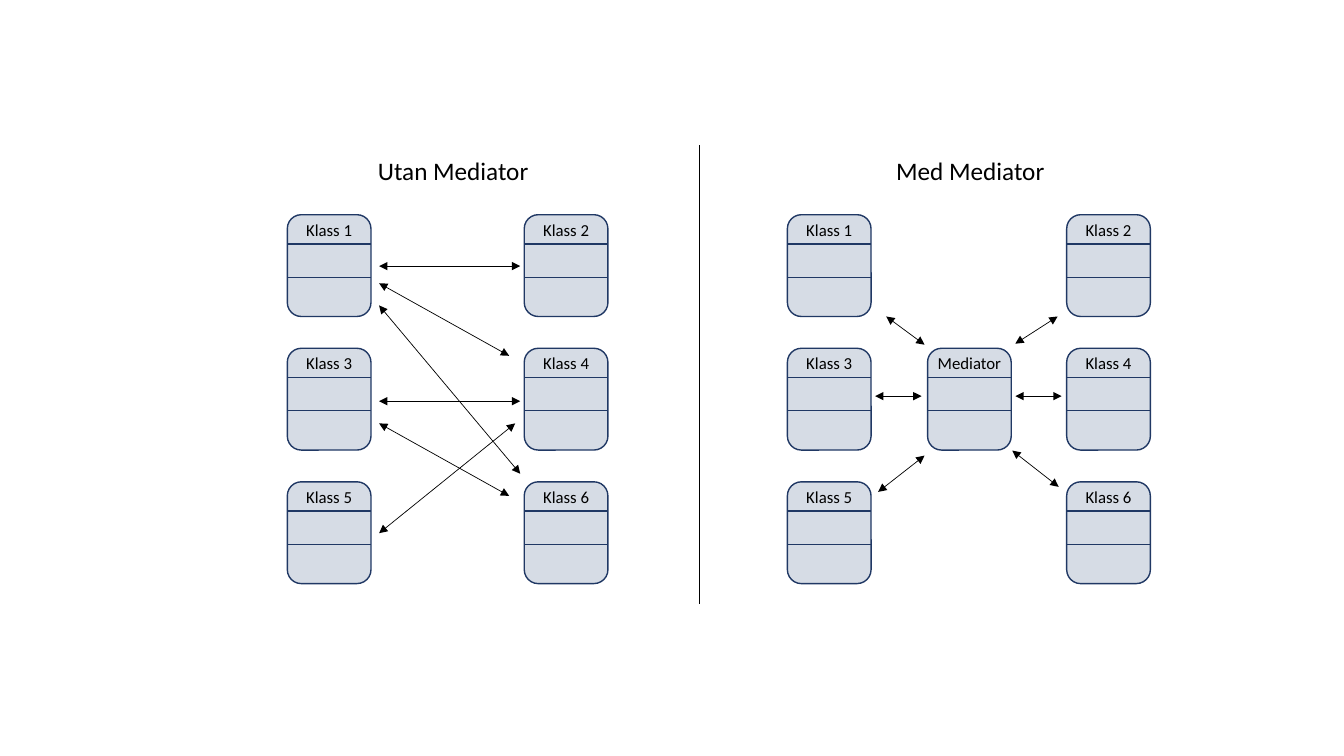
from lxml import etree
from pptx import Presentation
from pptx.dml.color import RGBColor
from pptx.enum.shapes import MSO_CONNECTOR, MSO_SHAPE
from pptx.enum.text import MSO_AUTO_SIZE, PP_ALIGN
from pptx.oxml.ns import qn
from pptx.util import Inches, Pt

STRAIGHT = MSO_CONNECTOR.STRAIGHT
ROUNDED = MSO_SHAPE.ROUNDED_RECTANGLE
LEFT, CENTER = PP_ALIGN.LEFT, PP_ALIGN.CENTER
FIT_SHAPE = MSO_AUTO_SIZE.SHAPE_TO_FIT_TEXT
BLACK, NAVY, PALE = "000000", "203864", "D6DCE5"

BOX_WIDTH, BOX_HEIGHT = 0.83, 1.01
FIRST_ROW, ROW_STEP = 2.13, 1.325
DIVIDERS = (0.29, 0.62)

deck = Presentation()
deck.slide_width, deck.slide_height = Inches(13.33), Inches(7.5)
page = deck.slides.add_slide(deck.slide_layouts[6])


def add_line(start, end, color=BLACK, width=0.5, arrows=False):
    line = page.shapes.add_connector(STRAIGHT, *map(Inches, start + end))
    line.line.color.rgb = RGBColor.from_string(color)
    line.line.width = Pt(width)
    if arrows:
        outline = line.line._get_or_add_ln()
        for tip in ("a:headEnd", "a:tailEnd"):
            etree.SubElement(outline, qn(tip), type="triangle")
    etree.SubElement(line._element.spPr, qn("a:effectLst"))


def add_text(text, left, top, width, height, size, align):
    box = page.shapes.add_textbox(*map(Inches, (left, top, width, height)))
    box.text_frame.word_wrap = True
    box.text_frame.auto_size = FIT_SHAPE
    para = box.text_frame.paragraphs[0]
    para.alignment = align
    span = para.add_run()
    span.text = text
    for name, value in {"name": "Calibri", "size": Pt(size)}.items():
        setattr(span.font, name, value)
    span.font.color.rgb = RGBColor.from_string(BLACK)


# Class boxes: (left, row, name), two columns per half and the mediator between
classes = [
    (left, row, f"Klass {2 * row + column + 1}")
    for columns in ((2.85, 5.2), (7.81, 10.58))
    for column, left in enumerate(columns)
    for row in range(3)
]
classes.append((9.2, 1, "Mediator"))

for left, row, name in classes:
    top = FIRST_ROW + row * ROW_STEP
    box = page.shapes.add_shape(
        ROUNDED, *map(Inches, (left, top, BOX_WIDTH, BOX_HEIGHT)))
    box.shadow.inherit = False
    box.fill.solid()
    box.fill.fore_color.rgb = RGBColor.from_string(PALE)
    box.line.color.rgb = RGBColor.from_string(NAVY)
    box.line.width = Pt(1)
    for offset in DIVIDERS:
        add_line((left, top + offset), (left + BOX_WIDTH, top + offset), NAVY, 1)
    label_width = 0.92 if name == "Mediator" else BOX_WIDTH
    label_left = left + (BOX_WIDTH - label_width) / 2
    add_text(name, label_left, top, label_width, 0.3, 12, CENTER)

direct_links = [
    ((3.76, 2.81), (5.05, 3.53)),
    ((3.76, 2.64), (5.16, 2.64)),
    ((3.76, 3.03), (5.16, 4.7)),
    ((3.76, 3.98), (5.16, 3.98)),
    ((3.76, 4.2), (5.05, 4.92)),
    ((3.76, 5.29), (5.11, 4.2)),
]
mediator_links = [
    ((8.79, 3.14), (9.17, 3.42)),
    ((10.49, 3.14), (10.07, 3.41)),
    ((10.04, 4.47), (10.5, 4.83)),
    ((9.17, 4.52), (8.71, 4.88)),
    ((8.68, 3.93), (9.14, 3.93)),
    ((10.07, 3.93), (10.53, 3.93)),
]
for start, end in direct_links + mediator_links:
    add_line(start, end, arrows=True)

add_line((6.94, 1.44), (6.94, 5.99))
for heading, left in (("Utan Mediator", 3.65), ("Med Mediator", 8.79)):
    add_text(heading, left, 1.49, 2.46, 0.4, 18, LEFT)

deck.save("out.pptx")
